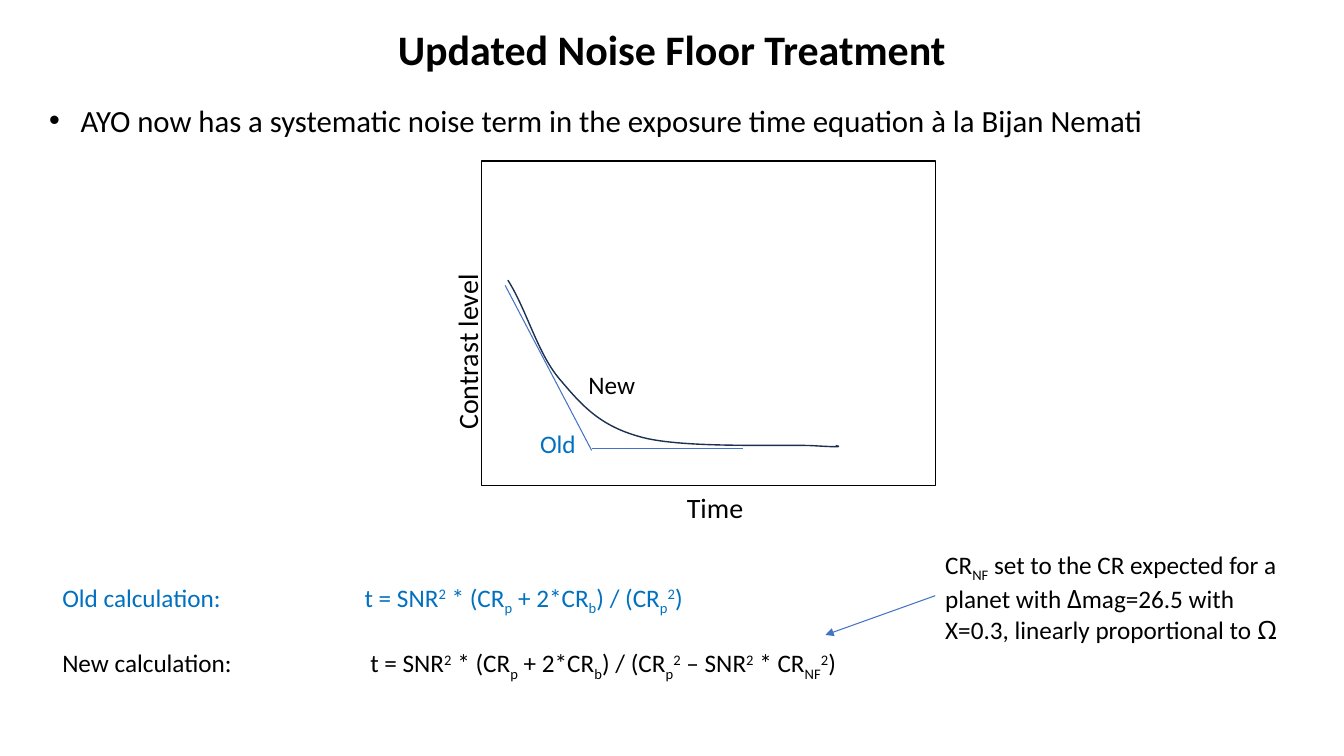
from lxml import etree
from pptx import Presentation
from pptx.dml.color import RGBColor
from pptx.enum.shapes import MSO_CONNECTOR, MSO_SHAPE
from pptx.enum.text import PP_ALIGN
from pptx.oxml.ns import qn
from pptx.util import Cm, Pt

BLACK = RGBColor(0x00, 0x00, 0x00)
BLUE = RGBColor(0x00, 0x70, 0xC0)
LINE_BLUE = RGBColor(0x44, 0x72, 0xC4)
NAVY = RGBColor(0x1C, 0x30, 0x52)
LEFT = PP_ALIGN.LEFT
CENTER = PP_ALIGN.CENTER
STRAIGHT = MSO_CONNECTOR.STRAIGHT
RECTANGLE = MSO_SHAPE.RECTANGLE
BODY_FONT = "Calibri"
GREEK_FONT = "Noto Sans"
SUPERSCRIPT = 30000
SUBSCRIPT = -25000
FORMULA_TAB = Cm(7.62)

SHARED_TERMS = [
    ("2", SUPERSCRIPT), (" * (CR",), ("p", SUBSCRIPT), (" + 2*CR",),
    ("b", SUBSCRIPT), (") / (CR",), ("p", SUBSCRIPT), ("2", SUPERSCRIPT),
]
OLD_FORMULA = [("Old calculation:\tt = SNR",), *SHARED_TERMS, (")",)]
NEW_FORMULA = [
    ("New calculation:\t t = SNR",), *SHARED_TERMS, (" – SNR",),
    ("2", SUPERSCRIPT), (" * CR",), ("NF", SUBSCRIPT), ("2", SUPERSCRIPT), (")",),
]
NOISE_FLOOR_NOTE = [
    ("CR",), ("NF", SUBSCRIPT),
    (" set to the CR expected for a planet with ",), ("Δ", 0, GREEK_FONT),
    ("mag=26.5 with X=0.3, linearly proportional to ",), ("Ω", 0, GREEK_FONT),
]
NEW_CURVE = [
    (12.8, 7.06),
    (13.28, 7.82), (13.54, 8.89), (14.1, 9.55),
    (14.66, 10.21), (15.11, 10.74), (16.18, 11.02),
    (17.22, 11.3), (19.66, 11.2), (20.47, 11.23),
    (21.29, 11.28), (21.18, 11.25), (21.06, 11.23),
]


def add_text_frame(slide, left, top, width, height, rotation=0):
    box = slide.shapes.add_textbox(Cm(left), Cm(top), Cm(width), Cm(height))
    box.rotation = rotation
    box.text_frame.word_wrap = True
    return box.text_frame


def add_runs(paragraph, pieces, size, color=BLACK, bold=False):
    for text, baseline, font_name in (
        (piece + (0, BODY_FONT)[len(piece) - 1:]) for piece in pieces
    ):
        run = paragraph.add_run()
        run.text = text
        run.font.name = font_name
        run.font.size = Pt(size)
        run.font.bold = bold
        run.font.color.rgb = color
        if baseline:
            run._r.get_or_add_rPr().set("baseline", str(baseline))


def add_label(slide, bounds, text, size, color=BLACK, bold=False, align=LEFT, rotation=0):
    paragraph = add_text_frame(slide, *bounds, rotation).paragraphs[0]
    paragraph.alignment = align
    add_runs(paragraph, [(text,)], size, color, bold)
    return paragraph


def add_bullet(paragraph):
    properties = paragraph._p.get_or_add_pPr()
    properties.set("marL", str(Cm(0.79)))
    properties.set("indent", str(-Cm(0.79)))
    font = etree.SubElement(properties, qn("a:buFont"))
    font.set("typeface", "Arial")
    etree.SubElement(properties, qn("a:buChar")).set("char", "•")


def add_tab_stop(paragraph):
    tabs = etree.SubElement(paragraph._p.get_or_add_pPr(), qn("a:tabLst"))
    tab = etree.SubElement(tabs, qn("a:tab"))
    tab.set("pos", str(FORMULA_TAB))
    tab.set("algn", "l")


def add_formulas(slide):
    frame = add_text_frame(slide, 1.32, 14.55, 20.6, 2.57)
    old_paragraph = frame.paragraphs[0]
    new_paragraph = frame.add_paragraph()
    new_paragraph.space_before = Pt(22)
    for paragraph, formula, color in (
        (old_paragraph, OLD_FORMULA, BLUE),
        (new_paragraph, NEW_FORMULA, BLACK),
    ):
        add_tab_stop(paragraph)
        add_runs(paragraph, formula, 18, color)


def add_line(slide, start, end, arrow=False):
    connector = slide.shapes.add_connector(STRAIGHT, *map(Cm, start + end))
    connector.line.color.rgb = LINE_BLUE
    connector.line.width = Pt(0.75)
    if arrow:
        tail = etree.SubElement(connector.line._get_or_add_ln(), qn("a:tailEnd"))
        tail.set("type", "triangle")
    etree.SubElement(connector._element.spPr, qn("a:effectLst"))


def style_outline(shape, color):
    shape.shadow.inherit = False
    shape.fill.background()
    shape.line.color.rgb = color
    shape.line.width = Pt(1)


def add_curve(slide, points, color):
    start, *controls = [(Cm(x), Cm(y)) for x, y in points]
    builder = slide.shapes.build_freeform(*start)
    builder.add_line_segments(controls, close=False)
    shape = builder.convert_to_shape()
    segments = list(shape._element.iter(qn("a:lnTo")))
    for first, second, third in zip(*[iter(segments)] * 3):
        bezier = etree.Element(qn("a:cubicBezTo"))
        first.addprevious(bezier)
        for segment in (first, second, third):
            bezier.append(segment[0])
            segment.getparent().remove(segment)
    style_outline(shape, color)


def add_plot(slide):
    frame = slide.shapes.add_shape(RECTANGLE, Cm(12.14), Cm(4.06), Cm(11.43), Cm(8.18))
    style_outline(frame, BLACK)
    add_label(slide, (15.24, 12.24, 5.56, 1.12), "Time", 20, align=CENTER)
    add_label(slide, (8.59, 8.31, 6.38, 1.12), "Contrast level", 20, align=CENTER, rotation=270)
    add_line(slide, (12.73, 7.19), (14.91, 11.35))
    add_line(slide, (14.91, 11.3), (18.72, 11.3))
    add_curve(slide, NEW_CURVE, NAVY)
    add_label(slide, (13.36, 10.67, 2.18, 1.02), "Old", 18, BLUE)
    add_label(slide, (14.58, 9.19, 2.18, 1.02), "New", 18)


def main():
    presentation = Presentation()
    presentation.slide_width = Cm(33.87)
    presentation.slide_height = Cm(19.05)
    slide = presentation.slides.add_slide(presentation.slide_layouts[6])
    add_label(slide, (0, 0.46, 33.87, 3.33), "Updated Noise Floor Treatment", 30,
              bold=True, align=CENTER)
    statement = add_label(
        slide, (0.99, 2.44, 32.36, 9.65),
        "AYO now has a systematic noise term in the exposure time equation à la Bijan Nemati", 22)
    add_bullet(statement)
    add_plot(slide)
    add_formulas(slide)
    note = add_text_frame(slide, 23.57, 13.72, 9.45, 2.57).paragraphs[0]
    add_runs(note, NOISE_FLOOR_NOTE, 18)
    add_line(slide, (23.57, 15.01), (20.8, 16), arrow=True)
    presentation.save("out.pptx")


if __name__ == "__main__":
    main()
